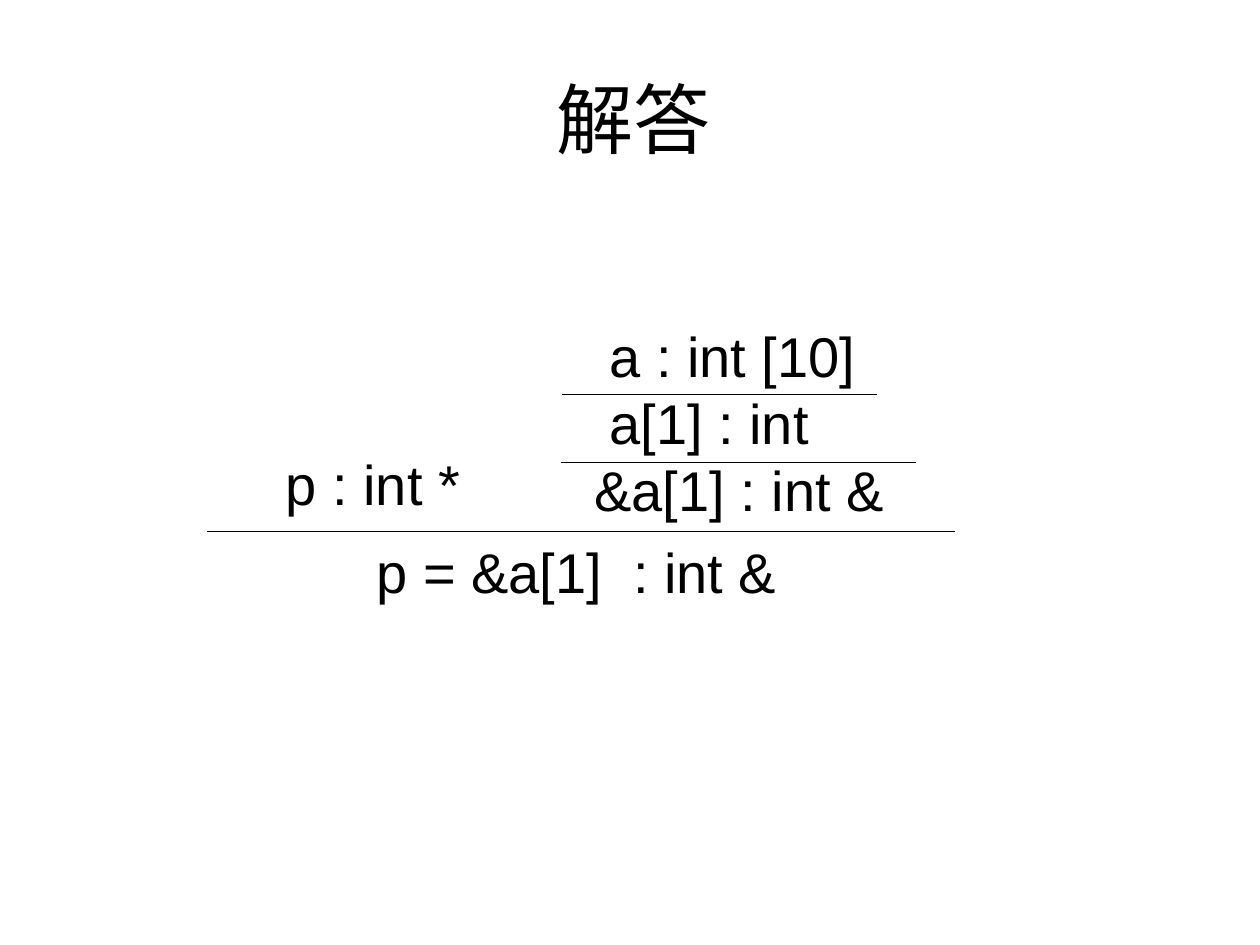
from dataclasses import dataclass

from lxml import etree
from pptx import Presentation
from pptx import util as u
from pptx.dml.color import RGBColor
from pptx.enum import shapes, text
from pptx.oxml.ns import qn


@dataclass
class Theme:
    font: str = "Arial"
    ink: RGBColor = RGBColor(0, 0, 0)
    paper: RGBColor = RGBColor(255, 255, 255)
    title: float = 44
    body: float = 32
    rule: float = 0.75


def write(p, content, *, theme, size, align=text.PP_ALIGN.LEFT, indent=0):
    """Put one formatted run into a paragraph."""
    p.alignment = align
    if indent:
        p._p.get_or_add_pPr().set("marL", str(u.Inches(indent)))
    r = p.add_run()
    r.text = content
    r.font.name = theme.font
    r.font.size = u.Pt(size)
    r.font.color.rgb = theme.ink


class Deck:
    def __init__(self, prs, theme):
        self.theme = theme
        self.s = prs.slides.add_slide(prs.slide_layouts[5])
        self.s.background.fill.solid()
        self.s.background.fill.fore_color.rgb = theme.paper

    def title(self, content, x, y, w, h):
        sp = self.s.shapes.title
        sp.left, sp.top, sp.width, sp.height = map(u.Inches, (x, y, w, h))
        tf = sp.text_frame
        tf.vertical_anchor = text.MSO_ANCHOR.MIDDLE
        write(tf.paragraphs[0], content, theme=self.theme,
              size=self.theme.title, align=text.PP_ALIGN.CENTER)

    def judgements(self, lines, x, y, w, h):
        """Stack (text, indent) lines in one text box."""
        tf = self.s.shapes.add_textbox(*map(u.Inches, (x, y, w, h))).text_frame
        tf.word_wrap = False
        for i, (content, indent) in enumerate(lines):
            p = tf.add_paragraph() if i else tf.paragraphs[0]
            write(p, content, theme=self.theme, size=self.theme.body,
                  indent=indent)

    def inference_bar(self, x1, x2, y):
        c = self.s.shapes.add_connector(
            shapes.MSO_CONNECTOR.STRAIGHT, *map(u.Inches, (x1, y, x2, y)))
        c.line.color.rgb = self.theme.ink
        c.line.width = u.Pt(self.theme.rule)
        etree.SubElement(c._element.spPr, qn("a:effectLst"))


def main():
    prs = Presentation()
    prs.slide_width, prs.slide_height = u.Inches(10), u.Inches(7.5)
    deck = Deck(prs, Theme())

    deck.title("解答", 0.78, 0.31, 8.5, 1.25)

    # Premises and conclusion of the type derivation
    deck.judgements([("p : int *", 0.37)], 1.8, 3.52, 2.27, 0.62)
    deck.judgements([("p = &a[1]  : int &", 0)], 2.89, 4.22, 3.41, 0.64)
    deck.judgements([("a : int [10]", 0.12), ("a[1] : int", 0.12),
                     ("&a[1] : int &", 0)], 4.62, 2.5, 2.52, 1.72)

    # Bars between the steps
    for x1, x2, y in [(4.46, 6.96, 3.13), (4.45, 7.27, 3.67),
                      (1.64, 7.58, 4.22)]:
        deck.inference_bar(x1, x2, y)

    prs.save("out.pptx")


if __name__ == "__main__":
    main()
